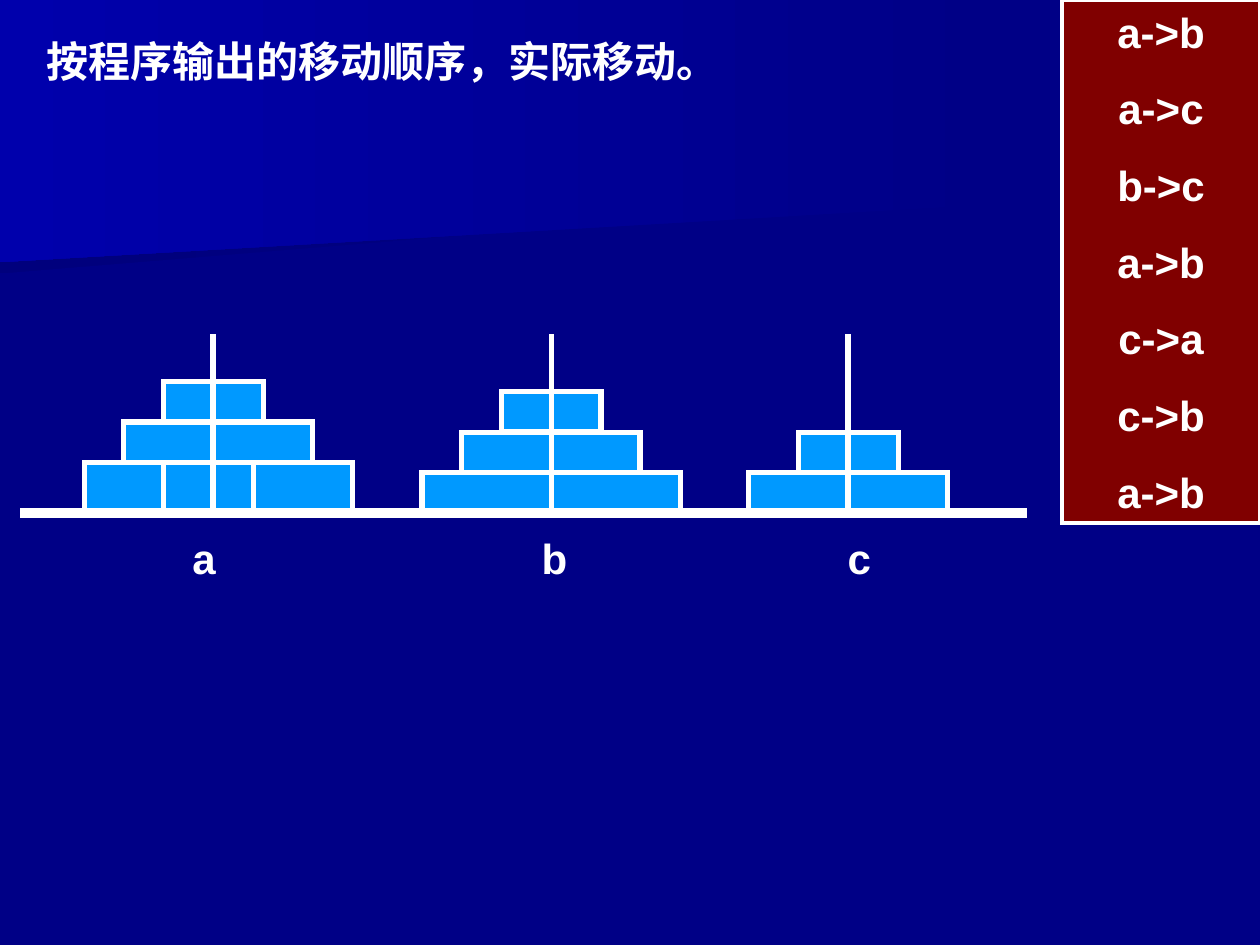
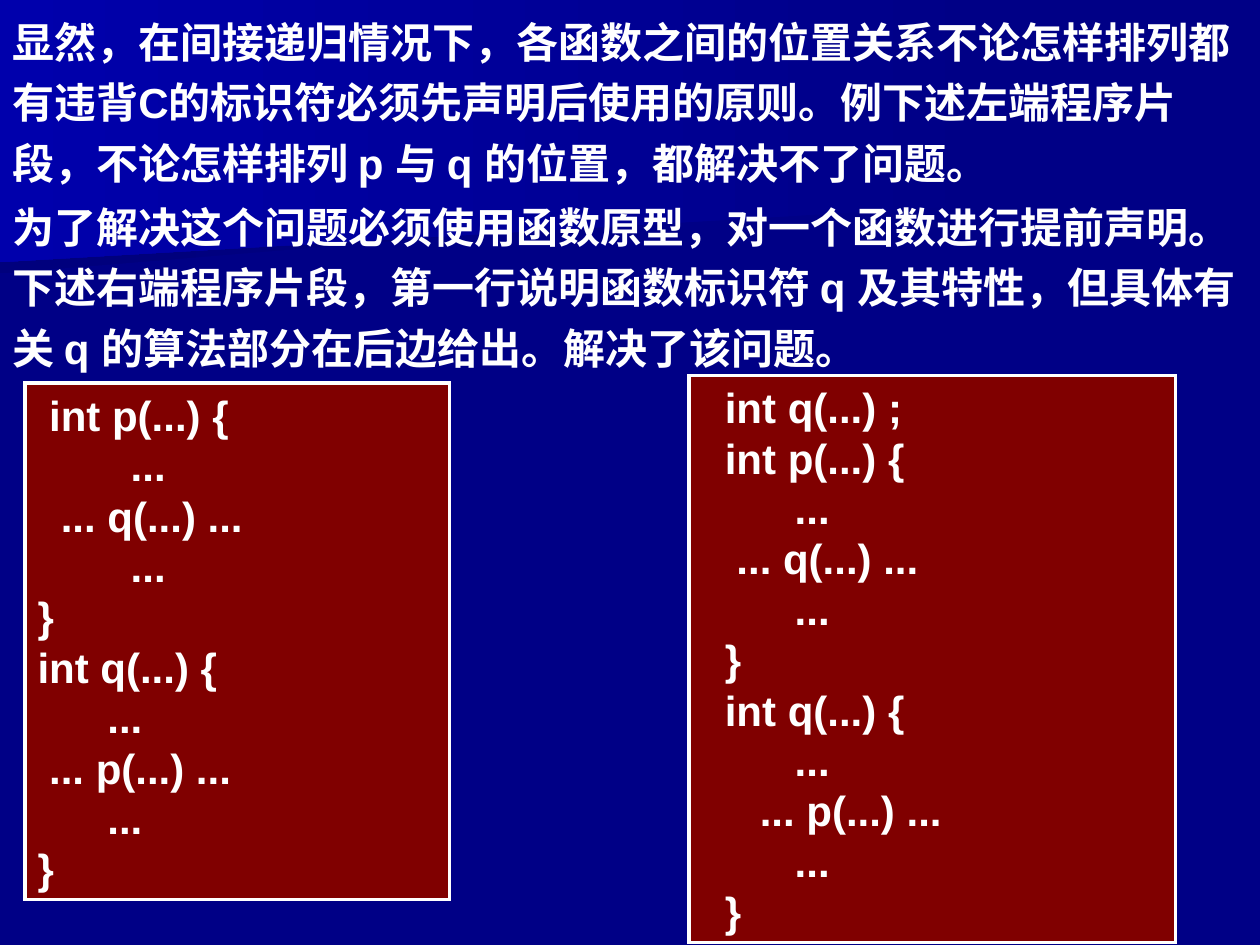
from dataclasses import dataclass

from lxml.etree import SubElement
from pptx import Presentation
from pptx.dml.color import RGBColor as RGB
from pptx.enum.shapes import MSO_CONNECTOR as CONN, MSO_SHAPE as SHAPE
from pptx.enum.text import MSO_ANCHOR as ANCHOR, MSO_AUTO_SIZE as AUTO, PP_ALIGN as ALIGN
from pptx.oxml.ns import qn
from pptx.util import Inches, Pt


@dataclass(frozen=True)
class Theme:
    back: RGB = RGB(0x00, 0x00, 0x86)
    shade: RGB = RGB(0x00, 0x00, 0x7D)
    glow: RGB = RGB(0x00, 0x00, 0xAC)
    panel: RGB = RGB(0x80, 0x00, 0x00)
    disc: RGB = RGB(0x00, 0x99, 0xFF)
    ink: RGB = RGB(0xFF, 0xFF, 0xFF)
    font: str = "Arial"
    title_font: str = "Times New Roman"
    size: int = 24


T = Theme()
PAD = (0.1, 0.05, 0.1, 0.05)
FLOOR, PEG_TOP = 4.07, 2.65
DISC_HEIGHT = 0.32

MOVES = ["a->b", "a->c", "b->c", "a->b", "c->a", "c->b", "a->b"]
BANDS = [
    (T.shade, [(7.78, 1.53), (0, 2.17), (0, 1.01), (7.79, 1.01), (7.78, 1.28)]),
    (T.glow, [(7.92, 1.62), (0, 2.08), (0, 0), (7.92, 0)]),
]
STACKS = [
    (3.67, [(0, 0.67, 2.13), (0, 1.3, 0.71), (1, 0.98, 1.5), (2, 1.3, 0.79)]),
    (3.75, [(0, 3.35, 2.05), (1, 3.66, 1.42), (2, 3.98, 0.79)]),
    (3.75, [(0, 5.94, 1.58), (1, 6.34, 0.79)]),
]
PEGS = [(1.69, False), (4.37, True), (6.73, True)]
LABEL_TABS = [1.02, 3.8, 6.22]

ORDER_PROBLEM = (
    "显然，在间接递归情况下，各函数之间的位置关系不论怎样排列都有违背C的标识符必须先声明后使用的原则。"
    "例下述左端程序片段，不论怎样排列 p 与 q 的位置，都解决不了问题。"
)
PROTOTYPE_ANSWER = (
    "为了解决这个问题必须使用函数原型，对一个函数进行提前声明。"
    "下述右端程序片段，第一行说明函数标识符 q 及其特性，但具体有关 q 的算法部分在后边给出。解决了该问题。"
)
CODE_WITHOUT = """ int p(...) {
        ...
  ... q(...) ...
        ...
}
int q(...) {
      ...
 ... p(...) ...
      ...
}"""
CODE_WITH = """  int q(...) ;
  int p(...) {
        ...
   ... q(...) ...
        ...
  }
  int q(...) {
        ...
     ... p(...) ...
        ...
  }"""


def assign(target, values):
    for name, value in values.items():
        setattr(target, name, value)


def write(s, lines, font=T.font, pad=PAD, gap=0, tabs=(), **layout):
    tf = s.text_frame
    left, top, right, bottom = map(Inches, pad)
    assign(tf, dict(word_wrap=True, auto_size=AUTO.NONE, vertical_anchor=ANCHOR.TOP,
                    margin_left=left, margin_top=top, margin_right=right, margin_bottom=bottom))
    for i, line in enumerate(lines):
        p = tf.add_paragraph() if i else tf.paragraphs[0]
        assign(p, dict(alignment=ALIGN.LEFT, space_before=Pt(gap if i else 0)) | layout)
        props = p._p.get_or_add_pPr()
        props.set("hangingPunct", "0")
        if tabs:
            stops = SubElement(props, qn("a:tabLst"))
            for x in tabs:
                SubElement(stops, qn("a:tab"), pos=str(Inches(x)), algn="ctr")
        r = p.add_run()
        r.text = line
        assign(r.font, dict(name=font, size=Pt(T.size), bold=True))
        r.font.color.rgb = T.ink


def add_title(slide, text, box):
    s = slide.shapes.title
    assign(s, dict(zip(("left", "top", "width", "height"), map(Inches, box))))
    write(s, [text], T.title_font, alignment=ALIGN.JUSTIFY, line_spacing=0.9)


def add_text(slide, text, box, **style):
    write(slide.shapes.add_textbox(*map(Inches, box)), [text], **style)


def add_box(slide, box, color, weight):
    s = slide.shapes.add_shape(SHAPE.RECTANGLE, *map(Inches, box))
    s.shadow.inherit = False
    s.fill.solid()
    s.fill.fore_color.rgb = color
    s.line.color.rgb = T.ink
    s.line.width = Pt(weight)
    SubElement(s.element.spPr.find(qn("a:ln")), qn("a:miter"), lim="800000")
    return s


def add_panel(slide, lines, box, **style):
    write(add_box(slide, box, T.panel, 2), lines, **style)


def add_line(slide, start, end, weight):
    c = slide.shapes.add_connector(CONN.STRAIGHT, *map(Inches, start + end))
    c.line.color.rgb = T.ink
    c.line.width = Pt(weight)
    SubElement(c._element.spPr, qn("a:effectLst"))
    return c


def add_stack(slide, base_top, discs):
    boxes = []
    for level, left, width in discs:
        height = DISC_HEIGHT if level else FLOOR - base_top
        top = base_top - level * DISC_HEIGHT
        boxes.append(add_box(slide, (left, top, width, height), T.disc, 3))
    return boxes[0]


def add_peg(slide, x, base, centred):
    peg = add_line(slide, (x, FLOOR), (x, PEG_TOP), 3)
    if centred:
        peg.begin_connect(base, 2)
        peg.end_x = peg.begin_x


def dress_master(prs, slide):
    master = prs.slide_master
    master.background.fill.solid()
    master.background.fill.fore_color.rgb = T.back
    for i, (color, points) in enumerate(BANDS):
        start, *rest = [tuple(map(Inches, point)) for point in points]
        outline = slide.shapes.build_freeform(*start)
        outline.add_line_segments(rest)
        s = outline.convert_to_shape()
        s.shadow.inherit = False
        s.line.fill.background()
        s.fill.gradient()
        s.fill.gradient_angle = 180
        for stop, rgb in zip(s.fill.gradient_stops, (T.back, color)):
            stop.color.rgb = rgb
        s.element.nvSpPr.cNvPr.set("id", str(100 + i))
        master.shapes.element.insert(2 + i, s.element)


def build_hanoi(slide):
    add_title(slide, "按程序输出的移动顺序，实际移动。", (0.27, 0.28, 6.46, 0.87))
    add_panel(slide, MOVES, (8.43, 0, 1.57, 4.15), gap=15, alignment=ALIGN.CENTER)
    add_text(slide, "\ta\tb\tc", (0.59, 4.22, 8.03, 0.55), pad=(0.01,) * 4, tabs=LABEL_TABS)
    bases = [add_stack(slide, *stack) for stack in STACKS]
    add_line(slide, (0.16, FLOOR), (8.15, FLOOR), 6)
    for (x, centred), base in zip(PEGS, bases):
        add_peg(slide, x, base, centred)


def build_prototype(slide):
    for top, text in ((0, ORDER_PROBLEM), (1.47, PROTOTYPE_ANSWER)):
        add_text(slide, text, (0, top, 10, 1.54), line_spacing=1.2)
    add_panel(slide, CODE_WITHOUT.splitlines(), (0.2, 3.04, 3.37, 4.1))
    add_panel(slide, CODE_WITH.splitlines(), (5.47, 2.98, 3.86, 4.5))


def main():
    prs = Presentation()
    assign(prs, dict(slide_width=Inches(10), slide_height=Inches(7.5)))
    title_only, blank = prs.slide_layouts[5], prs.slide_layouts[6]
    hanoi = prs.slides.add_slide(title_only)
    dress_master(prs, hanoi)
    build_hanoi(hanoi)
    build_prototype(prs.slides.add_slide(blank))
    prs.save("out.pptx")


if __name__ == "__main__":
    main()
